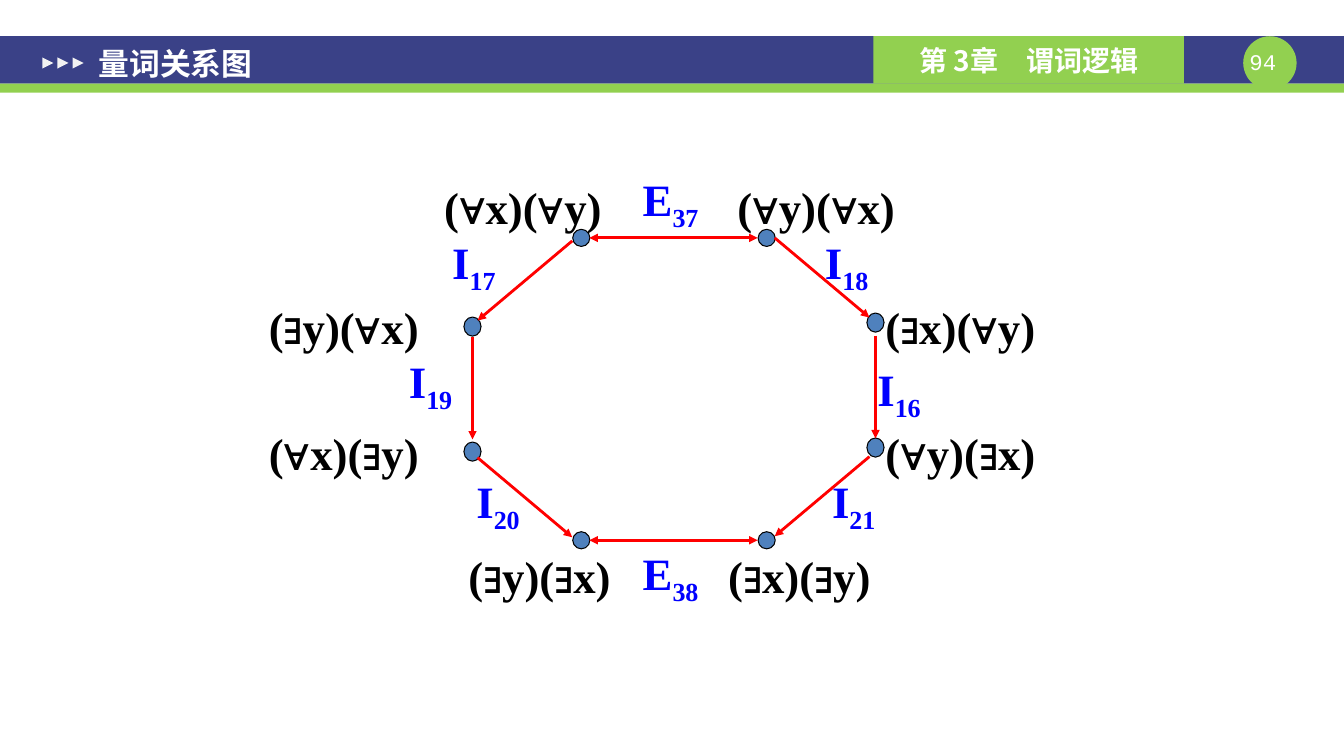
"""Build the slide on relations between pairs of quantifiers."""
from lxml import etree
from pptx import Presentation, util as u
from pptx.dml.color import RGBColor
from pptx.enum import shapes, text
from pptx.oxml.ns import qn

C = {"navy": "3A4187", "green": "92D050", "pale": "F2F2F2", "white": "FFFFFF",
     "black": "000000", "blue": "0000FF", "red": "FF0000", "node": "4F81BD"}
CJK, SERIF, MONO = "Noto Sans CJK SC", "Times New Roman", "Courier New"
SHAPE = shapes.MSO_SHAPE

prs = Presentation()
prs.slide_width, prs.slide_height = u.Inches(13.34), u.Inches(7.5)
s = prs.slides.add_slide(prs.slide_layouts[5])


def write(sp, words, size=32, font=SERIF, color="black", bold=True,
          align=text.PP_ALIGN.LEFT, anchor=text.MSO_ANCHOR.TOP,
          inset=(0.1, 0.05), spacing=1.0):
    """Fill a shape with one line; what follows an underscore is subscript."""
    tf = sp.text_frame
    tf.word_wrap, tf.auto_size = True, text.MSO_AUTO_SIZE.NONE
    tf.vertical_anchor = anchor
    tf.margin_left = tf.margin_right = u.Inches(inset[0])
    tf.margin_top = tf.margin_bottom = u.Inches(inset[1])
    p = tf.paragraphs[0]
    p.alignment, p.line_spacing = align, spacing
    for i, part in enumerate(words.split("_")):
        r = p.add_run()
        r.text = part
        r.font.size, r.font.name, r.font.bold = u.Pt(size), font, bold
        r.font.color.rgb = RGBColor.from_string(C[color])
        rpr = r._r.get_or_add_rPr()
        if font == CJK:
            etree.SubElement(rpr, qn("a:ea"), typeface=font)
        if i:
            rpr.set("baseline", "-25000")


def draw(kind, x, y, w, h, fill, line=None):
    """Add a flat preset shape."""
    sp = s.shapes.add_shape(kind, *map(u.Inches, (x, y, w, h)))
    sp.shadow.inherit = False
    sp.fill.solid()
    sp.fill.fore_color.rgb = RGBColor.from_string(C[fill])
    if line:
        sp.line.color.rgb = RGBColor.from_string(C[line])
        sp.line.width = u.Pt(0.75)
    else:
        sp.line.fill.background()
    return sp


center, middle = text.PP_ALIGN.CENTER, text.MSO_ANCHOR.MIDDLE
draw(SHAPE.RECTANGLE, 0, 0.36, 13.34, 0.47, "navy")
draw(SHAPE.RECTANGLE, 0, 0.83, 13.34, 0.09, "green")
draw(SHAPE.OVAL, 12.34, 0.36, 0.53, 0.53, "green")
page = s.shapes.add_textbox(*map(u.Inches, (12.27, 0.48, 0.53, 0.27)))
write(page, "94", size=16, font=MONO, color="white", bold=False,
      align=center, inset=(0, 0))
chapter = draw(SHAPE.RECTANGLE, 8.67, 0.36, 3.08, 0.47, "green")
write(chapter, "第 3章　谓词逻辑", size=20, font=CJK, color="white",
      align=center, anchor=middle)
for i in range(3):
    draw(SHAPE.ISOSCELES_TRIANGLE, 0.42 + 0.15 * i, 0.57, 0.11, 0.11,
         "pale").rotation = 90

title = s.shapes.title
title.left, title.top, title.width, title.height = map(
    u.Inches, (0.85, 0.39, 5.83, 0.47))
write(title, "量词关系图", size=22, font=CJK, color="white",
      anchor=middle, inset=(0.13, 0.07))
s.shapes._spTree.append(title._element)

left, inner_left, inner_right, right = 4.69, 5.77, 7.61, 8.69
top, bottom = 2.36, 5.36
for x, ys, h in ((inner_left, (top, bottom), 0.17),
                 (inner_right, (top, bottom), 0.17),
                 (left, (3.24, 4.48), 0.19),
                 (right, (3.2, 4.44), 0.19)):
    for y in ys:
        draw(SHAPE.OVAL, x - 0.085, y - h / 2, 0.17, h, "node", "black")

across, down = (1.67, 0), (0, 1.02)
down_left, down_right = (-0.94, 0.79), (0.94, 0.79)
for x, y, (dx, dy) in ((5.85, top, across), (5.85, bottom, across),
                       (5.68, 2.39, down_left), (8.63, 4.53, down_left),
                       (7.69, top, down_right), (4.74, 4.54, down_right),
                       (left, 3.34, down), (right, 3.33, down)):
    link = s.shapes.add_connector(
        shapes.MSO_CONNECTOR.STRAIGHT,
        *map(u.Inches, (x, y, x + dx, y + dy)))
    link.line.color.rgb = RGBColor.from_string(C["red"])
    link.line.width = u.Pt(2)
    ln = link.line._get_or_add_ln()
    for end in ("headEnd", "tailEnd") if dy == 0 else ("tailEnd",):
        etree.SubElement(ln, qn("a:" + end), type="triangle")
    etree.SubElement(link._element.spPr, qn("a:effectLst"))

for words, x, y in (
        ("(∀x)(∀y)", 4.31, 1.73), ("(∀y)(∀x)", 7.22, 1.73),
        ("(∃y)(∀x)", 2.57, 2.92), ("(∃x)(∀y)", right, 2.92),
        ("(∀x)(∃y)", 2.57, 4.17), ("(∀y)(∃x)", right, 4.17),
        ("(∃y)(∃x)", 4.55, 5.39), ("(∃x)(∃y)", 7.13, 5.39)):
    tb = s.shapes.add_textbox(*map(u.Inches, (x, y, 1.89, 0.64)))
    write(tb, words)

for words, x, y, spacing in (
        ("E_37", 6.28, 1.65, 1), ("E_38", 6.28, 5.24, 1.2),
        ("I_17", 4.39, 2.28, 1), ("I_18", 8.09, 2.28, 1),
        ("I_19", 3.96, 3.46, 1), ("I_16", 8.61, 3.54, 1),
        ("I_20", 4.63, 4.65, 1), ("I_21", 8.16, 4.65, 1)):
    tb = s.shapes.add_textbox(*map(u.Inches, (x, y, 0.82, 0.64)))
    write(tb, words, color="blue", spacing=spacing)

prs.save("out.pptx")
